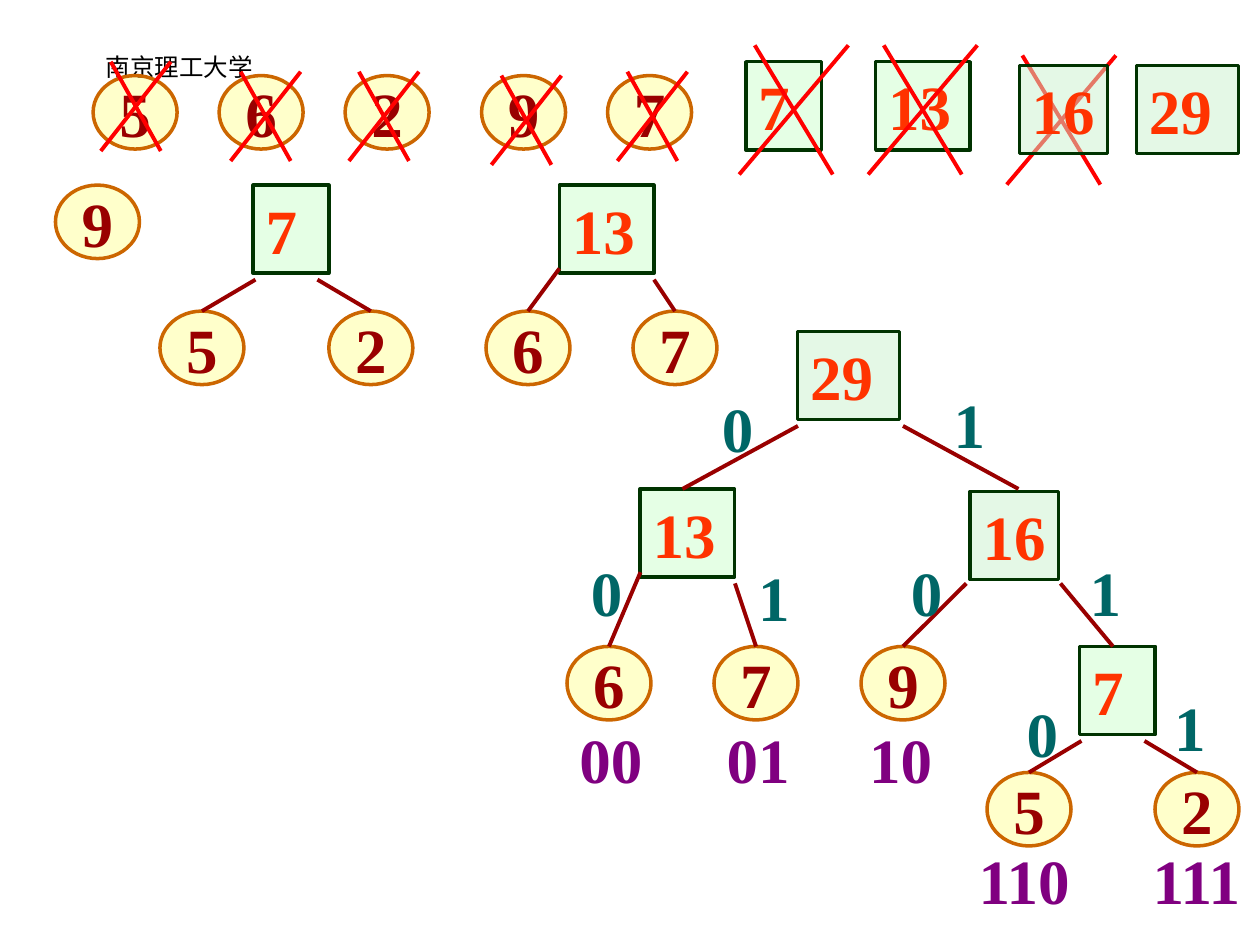
"""Build a Huffman tree slide: merge steps, final tree and codes."""
from lxml import etree
from pptx import Presentation
from pptx.dml.color import RGBColor
from pptx.enum.shapes import MSO_CONNECTOR, MSO_SHAPE
from pptx.enum.text import MSO_ANCHOR, MSO_AUTO_SIZE, PP_ALIGN
from pptx.oxml.ns import qn
from pptx.util import Pt

OVAL, RECT = MSO_SHAPE.OVAL, MSO_SHAPE.RECTANGLE
LINE = MSO_CONNECTOR.STRAIGHT
MIDDLE, TOP = MSO_ANCHOR.MIDDLE, MSO_ANCHOR.TOP
CENTER, LEFT = PP_ALIGN.CENTER, PP_ALIGN.LEFT
GROW, FIXED = MSO_AUTO_SIZE.SHAPE_TO_FIT_TEXT, MSO_AUTO_SIZE.NONE

BIG = {"size": Pt(36), "bold": True, "name": "Times New Roman"}
SMALL = {"size": Pt(14), "bold": False, "name": "Arial"}
LEAF_FRAME = {"vertical_anchor": MIDDLE, "word_wrap": False, "auto_size": FIXED}
WRAP_FRAME = {"vertical_anchor": TOP, "word_wrap": True, "auto_size": GROW}
TIGHT_FRAME = {"vertical_anchor": TOP, "word_wrap": False, "auto_size": GROW}
TITLE_FRAME = {"vertical_anchor": TOP, "word_wrap": True, "auto_size": FIXED}

LEAF_W, LEAF_H, BOX_H = 48, 42, 50.4
BOXES = {
    "7": (43.2, "CCFFCC", WRAP_FRAME),
    "13": (54, "CCFFCC", WRAP_FRAME),
    "16": (50.4, "CAF2CE", TIGHT_FRAME),
    "29": (58.3, "CAF2CE", WRAP_FRAME),
}

QUEUE = [("5", 53.2), ("6", 125.2), ("2", 197.2), ("9", 275.2), ("7", 347.2)]
SUMS = [("7", 426.2, 35.3), ("13", 500.4, 35.3)]
LAST_SUMS = [("16", 582.5, 37.4), ("29", 649.4, 37.4)]
NODES = [
    ("7", 144.7, 105.8), ("13", 319.7, 105.8), ("29", 455.8, 189.4),
    ("13", 365.8, 279.4), ("16", 554.4, 280.8), ("7", 617, 369.4),
]
LEAVES = [
    ("5", 91.4, 177.8, (146, 159.8)), ("2", 187.9, 177.8, (181.4, 159.8)),
    ("6", 277.7, 177.8, (319.7, 153.4)), ("7", 361.7, 177.8, (373.7, 159.8)),
    ("6", 324, 369.4, (366, 327)), ("7", 408, 369.4, (420, 333.4)),
    ("9", 492, 369.4, (552.2, 333.4)), ("5", 564, 441.4, (618, 423.4)),
    ("2", 660, 441.4, (654, 423.4)),
]
EDGES = [
    (456, 243.4, 390, 279.4), (516, 243.4, 582, 279.4),
    (606, 333.4, 636, 369.4),
]
BITS = [
    ("0", 405.4, 218.9), ("0", 330.5, 312.5), ("0", 513.4, 312.5),
    ("0", 579.6, 393.1), ("1", 537.8, 216.7), ("1", 426.2, 315.4),
    ("1", 615.6, 312.5), ("1", 663.8, 390.2),
]
CODES = [
    ("00", 324, 408.2), ("01", 408.2, 408.2), ("10", 489.6, 408.2),
    ("110", 552.2, 477.4), ("111", 651.6, 477.4),
]
LEAF_MARKS = [(57.6, 35.3), (131.8, 41), (199.4, 41), (280.8, 43.2), (352.8, 41)]
SUM_MARKS = [(422.4, 25.9), (496.1, 25.9)]


def rgb(code):
    """Return the colour for a hex string."""
    return RGBColor.from_string(code)


def apply(item, values):
    """Set each attribute in the dict on the item."""
    for key, value in values.items():
        setattr(item, key, value)


def write(shape, text, color, font, frame, align=LEFT):
    """Put one line of formatted text in a shape."""
    body = shape.text_frame
    apply(body, frame)
    para = body.paragraphs[0]
    para.alignment = align
    run = para.add_run()
    run.text = text
    apply(run.font, font)
    run.font.color.rgb = rgb(color)


def form(slide, kind, spot, fill, edge):
    """Add an outlined shape with a half clear fill."""
    shape = slide.shapes.add_shape(kind, *map(Pt, spot))
    shape.shadow.inherit = False
    shape.fill.solid()
    shape.fill.fore_color.rgb = rgb(fill)
    tone = shape.fill._xPr.find(qn("a:solidFill"))[0]
    etree.SubElement(tone, qn("a:alpha"), val="50000")
    shape.line.color.rgb = rgb(edge)
    shape.line.width = Pt(2)
    return shape


def link(slide, color, *ends):
    """Add a straight line between two points."""
    line = slide.shapes.add_connector(LINE, *map(Pt, ends))
    line.line.color.rgb = rgb(color)
    line.line.width = Pt(2.25)
    etree.SubElement(line._element.spPr, qn("a:effectLst"))
    return line


def leaf(slide, text, x, y, start=None):
    """Add a round leaf, joined to its parent's corner if given."""
    shape = form(slide, OVAL, (x, y, LEAF_W, LEAF_H), "FFFF99", "CC6600")
    write(shape, text, "990000", BIG, LEAF_FRAME, CENTER)
    if start:
        line = link(slide, "990000", *start, x + LEAF_W / 2, y)
        line.end_connect(shape, 0)


def node(slide, text, x, y):
    """Add a square node whose style follows its weight."""
    width, fill, frame = BOXES[text]
    shape = form(slide, RECT, (x, y, width, BOX_H), fill, "003300")
    write(shape, text, "FF3300", BIG, frame)


def label(slide, text, x, y, color):
    """Add a bare label as wide as its digits."""
    spot = (x, y, 14.4 + 18 * len(text), BOX_H)
    box = slide.shapes.add_textbox(*map(Pt, spot))
    write(box, text, color, BIG, TIGHT_FRAME)


def cross(slide, x, y, width, height):
    """Strike out an area with two red lines."""
    inset = width / 7
    link(slide, "FF0000", x + width, y, x, y + height)
    link(slide, "FF0000", x + inset, y, x + width - inset, y + height)


def title(slide):
    """Add the school's name at the top."""
    box = slide.shapes.add_textbox(Pt(-11.5), Pt(26), Pt(228), Pt(37.4))
    write(box, "南京理工大学", "000000", SMALL, TITLE_FRAME, CENTER)


def main():
    """Build and save the slide."""
    deck = Presentation()
    deck.slide_width, deck.slide_height = Pt(720), Pt(540)
    slide = deck.slides.add_slide(deck.slide_layouts[6])
    title(slide)
    for item in NODES + SUMS:
        node(slide, *item)
    leaf(slide, "9", 31.7, 105.8)
    for item in LEAVES:
        leaf(slide, *item)
    for ends in EDGES:
        link(slide, "990000", *ends)
    for item in BITS:
        label(slide, *item, "006666")
    for item in CODES:
        label(slide, *item, "800080")
    for text, x in QUEUE:
        leaf(slide, text, x, 43.2)
    for spot in LEAF_MARKS:
        cross(slide, *spot, 40, 51)
    for spot in SUM_MARKS + [(575.3, 31.7)]:
        cross(slide, *spot, 62.4, 73.8)
    for item in LAST_SUMS:
        node(slide, *item)
    deck.save("out.pptx")


if __name__ == "__main__":
    main()
